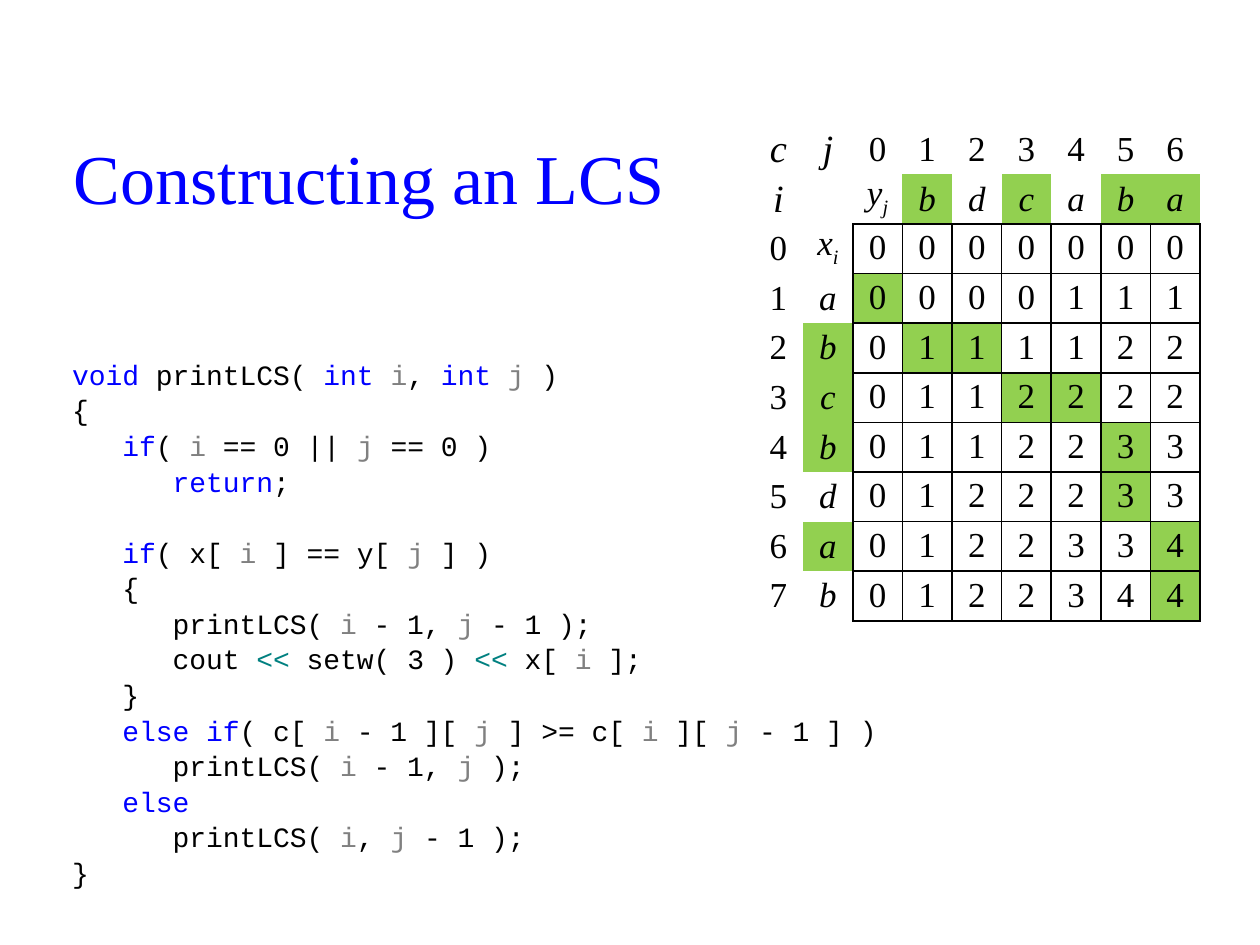
from itertools import groupby

from lxml.etree import SubElement
from pptx import Presentation
from pptx.dml.color import RGBColor
from pptx.enum.text import MSO_ANCHOR, MSO_AUTO_SIZE, PP_ALIGN
from pptx.oxml.ns import qn
from pptx.util import Pt

COLORS = {
    "text": "000000",
    "keyword": "0000FF",
    "parameter": "808080",
    "operator": "008080",
    "highlight": "92D050",
}
SERIF = "Times New Roman"
MONO = "Courier New"

CODE = """void printLCS( int i, int j )
{
   if( i == 0 || j == 0 )
      return;

   if( x[ i ] == y[ j ] )
   {
      printLCS( i - 1, j - 1 );
      cout << setw( 3 ) << x[ i ];
   }
   else if( c[ i - 1 ][ j ] >= c[ i ][ j - 1 ] )
      printLCS( i - 1, j );
   else
      printLCS( i, j - 1 );
}"""
TOKEN_COLORS = {word: "keyword" for word in ("void", "int", "if", "else", "return")}
TOKEN_COLORS.update({"i": "parameter", "j": "parameter", "<<": "operator"})

# A star marks a highlighted cell; a second letter is a subscript.
LCS_ROWS = [
    "c,j,0,1,2,3,4,5,6",
    "i,,yj,b*,d,c*,a,b*,a*",
    "0,xi,0,0,0,0,0,0,0",
    "1,a,0*,0,0,0,1,1,1",
    "2,b*,0,1*,1*,1,1,2,2",
    "3,c*,0,1,1,2*,2*,2,2",
    "4,b*,0,1,1,2,2,3*,3",
    "5,d,0,1,2,2,2,3*,3",
    "6,a*,0,1,2,2,3,3,4*",
    "7,b,0,1,2,2,3,4,4*",
]
CELL_SIZE = 28.35
FIRST_GRID = 2  # first row and column of the bordered grid


def add_run(paragraph, text, size=20, font=SERIF, color="text", italic=False, subscript=False):
    run = paragraph.add_run()
    run.text = text
    run.font.size = Pt(size)
    run.font.name = font
    run.font.italic = italic
    run.font.color.rgb = RGBColor.from_string(COLORS[color])
    if subscript:
        run.font._element.set("baseline", "-25000")


def set_borders(cell, sides):
    """Draw the given sides (from L, R, T, B) and clear the others."""
    properties = cell._tc.get_or_add_tcPr()
    for side in "LRTB":
        line = SubElement(properties, qn(f"a:ln{side}"), w=str(Pt(1)))
        if side in sides:
            fill = SubElement(line, qn("a:solidFill"))
            SubElement(fill, qn("a:srgbClr"), val=COLORS["text"])
        else:
            SubElement(line, qn("a:noFill"))


presentation = Presentation()
presentation.slide_width, presentation.slide_height = Pt(720), Pt(540)
slide = presentation.slides.add_slide(presentation.slide_layouts[1])

# Title
title = slide.shapes.title
title.left, title.top, title.width, title.height = Pt(34), Pt(57.6), Pt(354), Pt(70.6)
title.text_frame.vertical_anchor = MSO_ANCHOR.BOTTOM
title.text_frame.auto_size = MSO_AUTO_SIZE.NONE
title.text_frame.paragraphs[0].alignment = PP_ALIGN.CENTER
add_run(title.text_frame.paragraphs[0], "Constructing an LCS", size=40, color="keyword")

# Code listing
body = slide.placeholders[1]
body.left, body.top, body.width, body.height = Pt(34), Pt(199.5), Pt(496), Pt(297.4)
frame = body.text_frame
frame.word_wrap = False
frame.auto_size = MSO_AUTO_SIZE.NONE
frame.vertical_anchor = MSO_ANCHOR.TOP
for index, line in enumerate(CODE.split("\n")):
    paragraph = frame.add_paragraph() if index else frame.paragraphs[0]
    paragraph.space_before = Pt(0)
    paragraph.line_spacing = 1.06
    properties = paragraph._p.get_or_add_pPr()
    properties.set("marL", "0")
    properties.set("indent", "0")
    SubElement(properties, qn("a:buNone"))
    for _, letters in groupby(line, key=lambda letter: (letter.isalnum(), letter == "<")):
        token = "".join(letters)
        add_run(paragraph, token, size=16, font=MONO, color=TOKEN_COLORS.get(token, "text"))
    if not line:
        end = SubElement(paragraph._p, qn("a:endParaRPr"), sz="1600")
        SubElement(end, qn("a:latin"), typeface=MONO)

# Table of subsequence lengths
row_count, column_count = len(LCS_ROWS), len(LCS_ROWS[0].split(","))
table = slide.shapes.add_table(
    row_count, column_count, Pt(430.6), Pt(71.3),
    Pt(CELL_SIZE * column_count), Pt(CELL_SIZE * row_count),
).table
table.first_row = table.horz_banding = False
for band in (*table.rows, *table.columns):
    if band in table.rows:
        band.height = Pt(CELL_SIZE)
    else:
        band.width = Pt(CELL_SIZE)

for row, values in enumerate(LCS_ROWS):
    for column, value in enumerate(values.split(",")):
        cell = table.cell(row, column)
        text = value.rstrip("*")
        in_grid = min(row, column) >= FIRST_GRID
        cell.margin_top = cell.margin_bottom = 0
        cell.vertical_anchor = MSO_ANCHOR.TOP if len(text) > 1 else MSO_ANCHOR.MIDDLE

        sides = "LRTB" if in_grid else ""
        if row == FIRST_GRID - 1 and column >= FIRST_GRID:
            sides = "B"
        elif column == FIRST_GRID - 1 and row >= FIRST_GRID:
            sides = "R"
        set_borders(cell, sides)
        if value.endswith("*"):
            cell.fill.solid()
            cell.fill.fore_color.rgb = RGBColor.from_string(COLORS["highlight"])
        else:
            cell.fill.background()

        paragraph = cell.text_frame.paragraphs[0]
        paragraph.alignment = PP_ALIGN.CENTER
        if in_grid:
            paragraph.line_spacing = 0.95
        for position, letter in enumerate(text):
            add_run(paragraph, letter, size=22 if row + column <= 1 else 20,
                    italic=letter.isalpha(), subscript=position > 0)

presentation.save("out.pptx")
